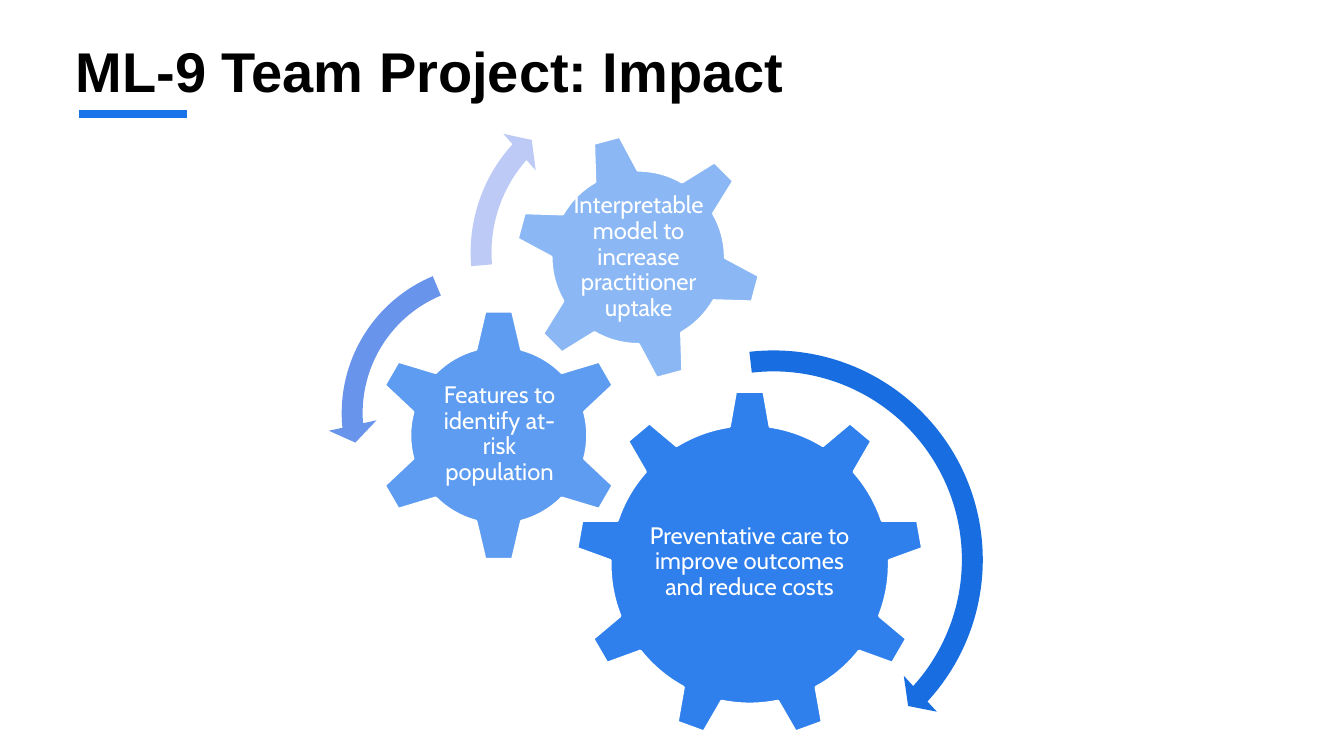
"""Build the project impact slide with three gears and their turning arrows."""
from lxml.etree import SubElement
from pptx import Presentation
from pptx.dml.color import RGBColor
from pptx.enum.shapes import MSO_CONNECTOR, MSO_SHAPE
from pptx.enum.text import MSO_ANCHOR, PP_ALIGN
from pptx.oxml.ns import qn
from pptx.util import Cm, Pt

BLUE = RGBColor(0x19, 0x73, 0xEB)
DEEP = RGBColor(0x18, 0x6E, 0xE0)
MID = RGBColor(0x69, 0x94, 0xEC)
PALE = RGBColor(0xBD, 0xCA, 0xF5)
WHITE = RGBColor(0xFF, 0xFF, 0xFF)
BLACK = RGBColor(0, 0, 0)

TITLE = "ML-9 Team Project: Impact"

# kind, left, top, size, turn, opacity %, text box, text
GEARS = [
    (MSO_SHAPE.GEAR_9, 14.5, 9.83, 8.79, 0, 90, (16.26, 11.91, 5.26, 4.52),
     "Preventative care to improve outcomes and reduce costs"),
    (MSO_SHAPE.GEAR_6, 9.37, 7.77, 6.4, 0, 70, (11, 9.37, 3.18, 3.15),
     "Features to identify at-risk population"),
    (MSO_SHAPE.GEAR_6, 12.95, 3.35, 6.27, 345, 50, (14.33, 4.72, 3.53, 3.53),
     "Interpretable model to increase practitioner uptake"),
]

# kind, left, top, size, colour, band %, three angles in degrees, head %
ARROWS = [
    (MSO_SHAPE.CIRCULAR_ARROW, 13.87, 8.48, 11.25, DEEP,
     4.69, (4.98, 42.4, 263.37), 5.47),
    (MSO_SHAPE.LEFT_CIRCULAR_ARROW, 8.26, 6.32, 8.18, MID,
     6.45, (7.17, 174.82, 247.3), 7.53),
    (MSO_SHAPE.CIRCULAR_ARROW, 11.51, 1.96, 8.81, PALE,
     5.98, (6.57, 221.9, 175.14), 6.98),
]


def add_text(slide, box, text, font, size, color, inset):
    """Add a wrapped text box and return its frame."""
    frame = slide.shapes.add_textbox(*map(Cm, box)).text_frame
    frame.word_wrap = True
    frame.margin_left = frame.margin_right = Cm(inset)
    frame.margin_top = frame.margin_bottom = Cm(inset)
    frame.text = text
    face = frame.paragraphs[0].runs[0].font
    face.name, face.size = font, Pt(size)
    face.color.rgb = color
    return frame


def add_solid(slide, kind, left, top, size, color):
    """Add a square preset shape with a plain fill."""
    shape = slide.shapes.add_shape(kind, Cm(left), Cm(top), Cm(size), Cm(size))
    shape.shadow.inherit = False
    shape.fill.solid()
    shape.fill.fore_color.rgb = color
    return shape


def add_gear(slide, kind, left, top, size, turn, share, box, text):
    """Add a see-through gear and its upright label."""
    gear = add_solid(slide, kind, left, top, size, BLUE)
    gear.rotation = turn
    gear.line.color.rgb = WHITE
    gear.line.width = Pt(2)
    tint = gear.element.spPr.find(qn("a:solidFill"))[0]
    SubElement(tint, qn("a:alpha")).set("val", str(share * 1000))
    frame = add_text(slide, box, text, "Cabin", 17, WHITE, 0.05)
    frame.vertical_anchor = MSO_ANCHOR.MIDDLE
    frame.paragraphs[0].alignment = PP_ALIGN.CENTER
    frame.paragraphs[0].line_spacing = 0.9


def add_arrow(slide, kind, left, top, size, color, band, angles, head):
    """Add a curved arrow set by its band, angles and head."""
    arrow = add_solid(slide, kind, left, top, size, color)
    arrow.line.fill.background()
    values = [band / 100, *(angle * 0.6 for angle in angles), head / 100]
    for index, value in enumerate(values):
        arrow.adjustments[index] = value


def main():
    """Draw the slide and save it."""
    deck = Presentation()
    deck.slide_width, deck.slide_height = Cm(33.87), Cm(19.05)
    slide = deck.slides.add_slide(deck.slide_layouts[6])

    rule = slide.shapes.add_connector(
        MSO_CONNECTOR.STRAIGHT, Cm(1.98), Cm(2.87), Cm(4.7), Cm(2.87))
    rule.line.color.rgb = BLUE
    rule.line.width = Pt(6)
    SubElement(rule.element.spPr, qn("a:effectLst"))

    title = add_text(slide, (1.78, 0.79, 30.25, 3.05), TITLE,
                     "Arial", 40, BLACK, 0.13)
    title.paragraphs[0].runs[0].font.bold = True

    for gear in GEARS:
        add_gear(slide, *gear)
    for arrow in ARROWS:
        add_arrow(slide, *arrow)
    deck.save("out.pptx")


if __name__ == "__main__":
    main()
